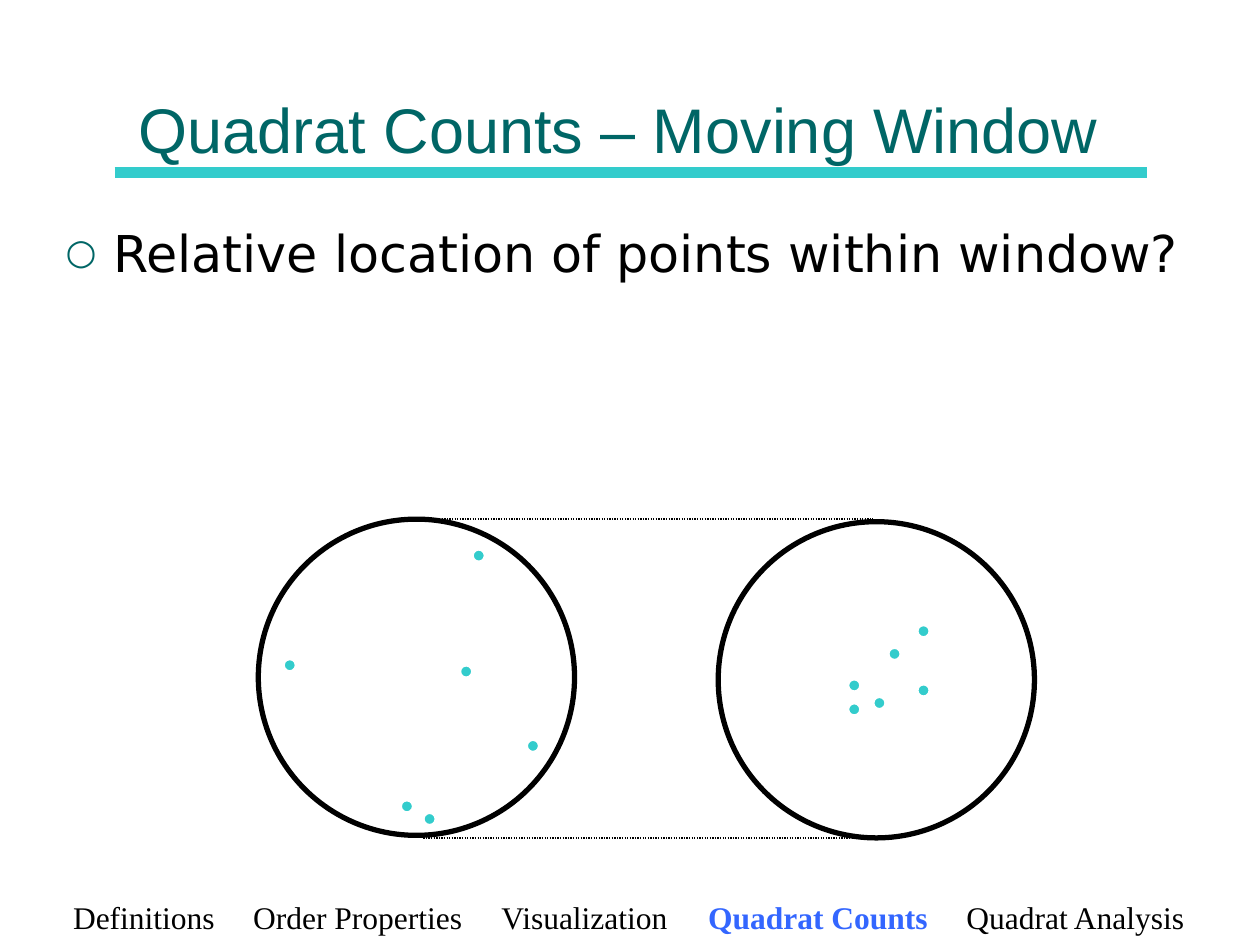
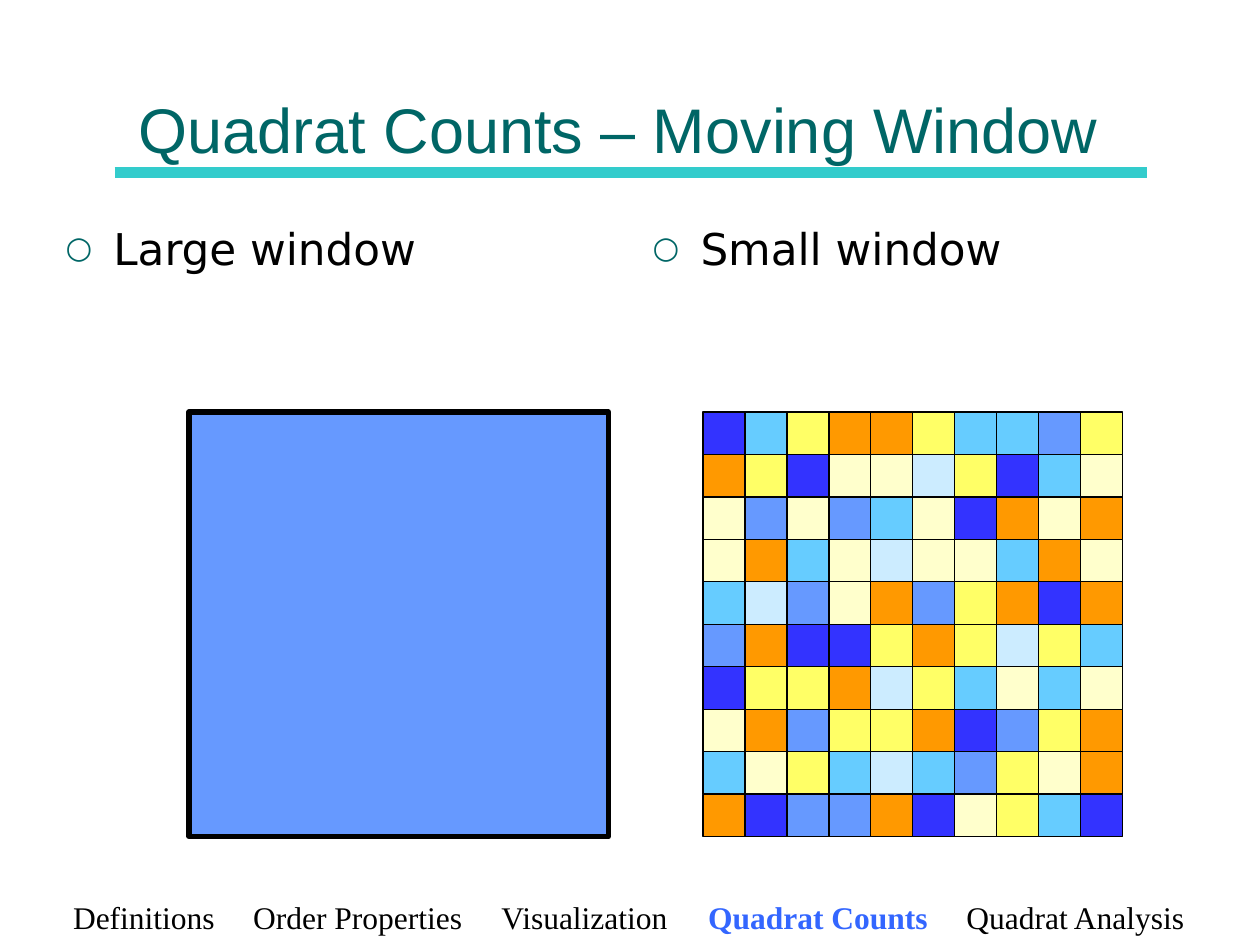
from dataclasses import dataclass

from lxml import etree
from pptx import Presentation
from pptx.dml.color import RGBColor
from pptx.enum.dml import MSO_LINE
from pptx.enum.shapes import MSO_CONNECTOR as Link, MSO_SHAPE as Kind
from pptx.enum.text import MSO_ANCHOR as Anchor, MSO_AUTO_SIZE as Fit, PP_ALIGN as Align
from pptx.oxml.ns import qn
from pptx.util import Inches, Pt


@dataclass(frozen=True)
class Theme:
    ink: str = "000000"
    paper: str = "FFFFFF"
    title: str = "006666"
    accent: str = "33CCCC"
    active: str = "3366FF"
    window: str = "6699FF"
    head_font: str = "Arial"
    body_font: str = "DejaVu Sans"
    nav_font: str = "Times New Roman"
    head_size: int = 36
    wide_size: int = 29
    half_size: int = 25
    nav_size: int = 18
    thin: float = 0.75
    thick: float = 3


THEME = Theme()
TITLE = "Quadrat Counts – Moving Window"
TOPICS = ["Definitions", "Order Properties", "Visualization",
          "Quadrat Counts", "Quadrat Analysis"]
TABS = [1.43, 3.4, 5.04, 7.09]

# Dot positions measured from the top left of each circle
SPREAD = [(0.2, 1.11), (1.7, 0.24), (1.13, 2.23),
          (1.31, 2.33), (1.6, 1.16), (2.13, 1.75)]
CLUSTER = [(1.03, 1.25), (1.35, 1.0), (1.58, 0.82),
           (1.23, 1.39), (1.03, 1.44), (1.58, 1.29)]

# One letter per small window, row by row
SHADES = {"B": "3333FF", "M": "6699FF", "S": "66CCFF", "I": "CCECFF",
          "C": "FFFFCC", "Y": "FFFF66", "O": "FF9900"}
CELLS = ["BSYOOYSSMY", "OYBCCIYBSC", "CMCMSCBOCO", "COSCICCSOC", "SIMCOMYOBO",
         "MOBBYOYIYS", "BYYOIYSCSC", "COMYYOBMYO", "SCYSISMYCO", "OBMMOBCYSB"]


def paint(font, name, size, color, bold=False):
    font.name, font.size, font.bold = name, Pt(size), bold
    font.color.rgb = RGBColor.from_string(color)


def place(shape, box):
    shape.left, shape.top, shape.width, shape.height = map(Inches, box)


def draw(slide, kind, box, fill, line, width):
    shape = slide.shapes.add_shape(kind, *map(Inches, box))
    shape.shadow.inherit = False
    if fill:
        shape.fill.solid()
        shape.fill.fore_color.rgb = RGBColor.from_string(fill)
    else:
        shape.fill.background()
    shape.line.color.rgb = RGBColor.from_string(line)
    shape.line.width = Pt(width)


def rule(slide, left, right, top, color, width):
    line = slide.shapes.add_connector(
        Link.STRAIGHT, Inches(left), Inches(top), Inches(right), Inches(top))
    line.line.color.rgb = RGBColor.from_string(color)
    line.line.width = Pt(width)
    etree.SubElement(line._element.spPr, qn("a:effectLst"))
    return line


def head(slide, box):
    rule(slide, 0.91, 9.1, box[1] + box[3], THEME.accent, 6)
    title = slide.shapes.title
    place(title, box)
    frame = title.text_frame
    frame.text = TITLE
    frame.auto_size = Fit.NONE
    frame.vertical_anchor = Anchor.BOTTOM
    para = frame.paragraphs[0]
    para.alignment = Align.LEFT
    paint(para.runs[0].font, THEME.head_font, THEME.head_size, THEME.title)


def bullet(holder, box, text, size):
    place(holder, box)
    frame = holder.text_frame
    frame.text = text
    frame.auto_size = Fit.NONE
    para = frame.paragraphs[0]
    para.space_before = Pt(0)
    props = para._p.get_or_add_pPr()
    props.set("marL", str(Inches(0.38)))
    props.set("indent", str(-Inches(0.38)))
    tint = etree.SubElement(props, qn("a:buClr"))
    etree.SubElement(tint, qn("a:srgbClr"), val=THEME.title)
    etree.SubElement(props, qn("a:buSzPct"), val="70000")
    etree.SubElement(props, qn("a:buFont"), typeface=THEME.body_font)
    etree.SubElement(props, qn("a:buChar"), char="○")
    paint(para.runs[0].font, THEME.body_font, size, THEME.ink)


def footer(slide, box, current):
    frame = slide.shapes.add_textbox(*map(Inches, box)).text_frame
    frame.word_wrap = True
    frame.margin_left = Inches(0.18)
    para = frame.paragraphs[0]
    stops = etree.SubElement(para._p.get_or_add_pPr(), qn("a:tabLst"))
    for stop in TABS:
        etree.SubElement(stops, qn("a:tab"), pos=str(Inches(stop)), algn="l")
    for i, topic in enumerate(TOPICS):
        run = para.add_run()
        run.text = f"\t{topic}" if i else topic
        here = topic == current
        paint(run.font, THEME.nav_font, THEME.nav_size,
              THEME.active if here else THEME.ink, here)


def circle(slide, box, dots):
    left, top = box[:2]
    draw(slide, Kind.OVAL, box, None, THEME.ink, THEME.thick)
    for x, y in dots:
        draw(slide, Kind.OVAL, (left + x, top + y, 0.1, 0.1),
             THEME.accent, THEME.paper, 1.5)


def mosaic(slide, box):
    left, top, width, height = box
    wide, high = width / len(CELLS[0]), height / len(CELLS)
    for r, row in enumerate(CELLS):
        for c, key in enumerate(row):
            cell = (left + c * wide, top + r * high, wide, high)
            draw(slide, Kind.RECTANGLE, cell, SHADES[key], THEME.ink, THEME.thin)


def start(deck, layout):
    slide = deck.slides.add_slide(deck.slide_layouts[layout])
    head(slide, (1, 0.12, 8, 1.25))
    footer(slide, (0.4, 7.08, 9.19, 0.4), "Quadrat Counts")
    return slide


def points(deck):
    slide = start(deck, 1)
    bullet(slide.placeholders[1], (0.42, 1.71, 9.13, 4.5),
           "Relative location of points within window?", THEME.wide_size)
    circle(slide, (2.05, 4.12, 2.51, 2.51), SPREAD)
    circle(slide, (5.7, 4.14, 2.51, 2.51), CLUSTER)
    # Dotted guides between the circles
    for left, top in [(3.28, 4.12), (3.36, 6.65)]:
        guide = rule(slide, left, left + 3.65, top, THEME.ink, THEME.thin)
        guide.line.dash_style = MSO_LINE.ROUND_DOT


def sizes(deck):
    slide = start(deck, 3)
    for slot, left, text in [(1, 0.42, "Large window"), (2, 5.08, "Small window")]:
        bullet(slide.placeholders[slot], (left, 1.71, 4.47, 4.5),
               text, THEME.half_size)
    draw(slide, Kind.RECTANGLE, (1.5, 3.27, 3.33, 3.37),
         THEME.window, THEME.ink, THEME.thick)
    mosaic(slide, (5.58, 3.27, 3.33, 3.37))


def main():
    deck = Presentation()
    deck.slide_width, deck.slide_height = Inches(10), Inches(7.5)
    points(deck)
    sizes(deck)
    deck.save("out.pptx")


if __name__ == "__main__":
    main()
